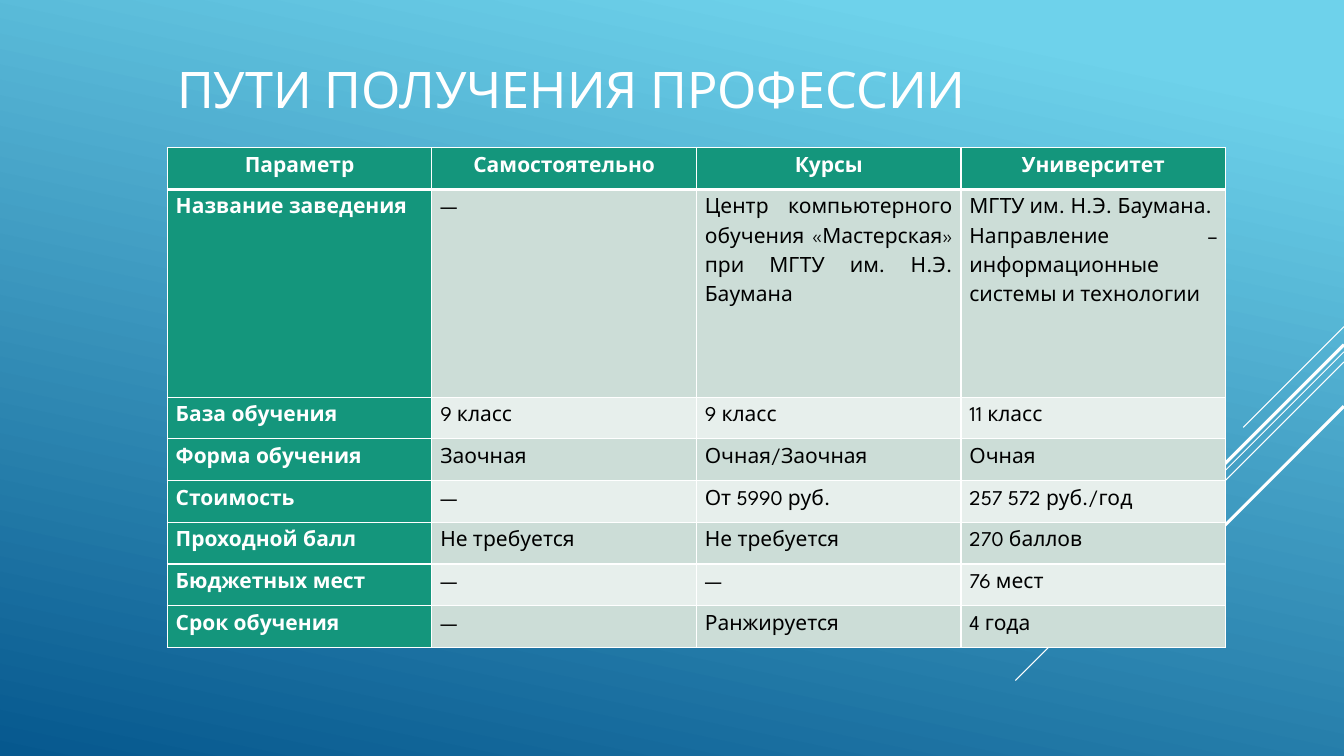
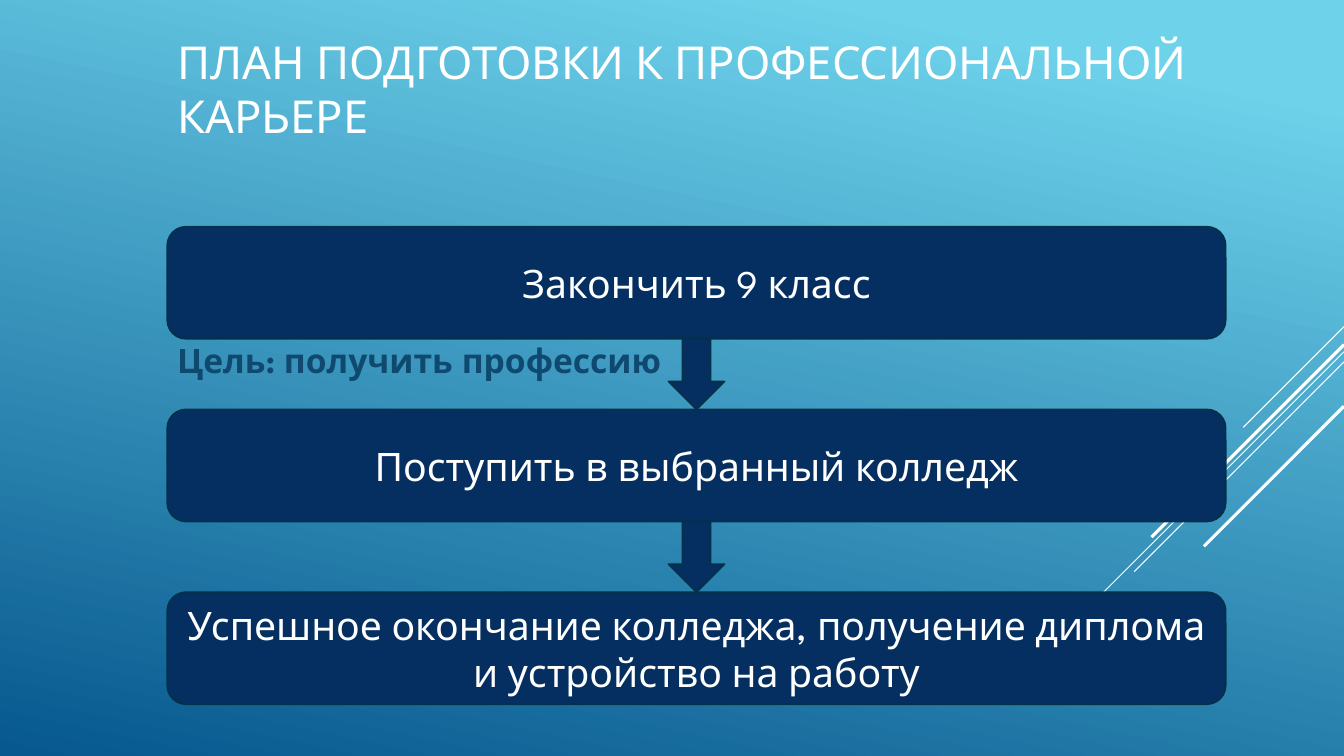
from lxml.etree import SubElement
from pptx import Presentation
from pptx.dml.color import RGBColor
from pptx.enum.shapes import MSO_CONNECTOR, MSO_SHAPE
from pptx.enum.text import MSO_ANCHOR, PP_ALIGN
from pptx.oxml.ns import qn
from pptx.util import Pt

WHITE, BLACK = "FFFFFF", "000000"
SKY, DEEP_BLUE = "6ED2EB", "06588E"
NAVY, NAVY_EDGE, GOAL_BLUE = "052F61", "043148", "0F496F"
GREEN, BAND_DARK, BAND_LIGHT = "14967C", "CCDDD7", "E7EFEC"
FONT = "League Spartan"
SLIDE_WIDTH, SLIDE_HEIGHT = 960, 540
LEFT, WIDTH = 119.5, 756
DIAGONALS = [
    (233.3, 72, 0.75),
    (251.3, 234.7, 0.75),
    (258.5, 149.8, 0.75),
    (246.2, 137.5, 2.25),
    (290.2, 100, 2.25),
]
PATHS = [
    ["Параметр", "Самостоятельно", "Курсы", "Университет"],
    [
        "Название заведения",
        "—",
        "Центр компьютерного обучения «Мастерская» при МГТУ им. Н.Э. Баумана",
        "МГТУ им. Н.Э. Баумана.\nНаправление – информационные системы и технологии",
    ],
    ["База обучения", "9 класс", "9 класс", "11 класс"],
    ["Форма обучения", "Заочная", "Очная/Заочная", "Очная"],
    ["Стоимость", "—", "От 5990 руб.", "257 572 руб./год"],
    ["Проходной балл", "Не требуется", "Не требуется", "270 баллов"],
    ["Бюджетных мест", "—", "—", "76 мест"],
    ["Срок обучения", "—", "Ранжируется", "4 года"],
]
STEPS = [
    "Закончить 9 класс",
    "Поступить в выбранный колледж",
    "Успешное окончание колледжа, получение диплома и устройство на работу",
]


def color(value):
    return RGBColor.from_string(value)


class Deck:
    """Holds the shared style and the current slide."""

    def __init__(self):
        self.presentation = Presentation()
        self.presentation.slide_width = Pt(SLIDE_WIDTH)
        self.presentation.slide_height = Pt(SLIDE_HEIGHT)
        fill = self.presentation.slide_master.background.fill
        fill.gradient()
        fill.gradient_angle = 258
        for stop, position, value in zip(fill.gradient_stops, (0.1, 1), (SKY, DEEP_BLUE)):
            stop.position = position
            stop.color.rgb = color(value)

    def add_slide(self, title, size):
        self.slide = self.presentation.slides.add_slide(self.presentation.slide_layouts[6])
        for top, reach, weight in DIAGONALS:
            self.line(SLIDE_WIDTH, top, SLIDE_WIDTH - reach, top + reach, weight)
        self.label(title, 37.5, 51, size)

    def line(self, start_x, start_y, end_x, end_y, weight):
        connector = self.slide.shapes.add_connector(
            MSO_CONNECTOR.STRAIGHT, Pt(start_x), Pt(start_y), Pt(end_x), Pt(end_y)
        )
        connector.line.color.rgb = color(WHITE)
        connector.line.width = Pt(weight)
        SubElement(connector._element.spPr, qn("a:effectLst"))

    def set_text(self, frame, text, size, value=WHITE, bold=False, **paragraph_format):
        frame.word_wrap = True
        frame.text = text
        for paragraph in frame.paragraphs:
            for name, setting in paragraph_format.items():
                setattr(paragraph, name, setting)
            for run in paragraph.runs:
                font_format = {"name": FONT, "size": Pt(size), "bold": bold}
                for name, setting in font_format.items():
                    setattr(run.font, name, setting)
                run.font.color.rgb = color(value)

    def label(self, text, top, height, size, value=WHITE, bold=False):
        box = self.slide.shapes.add_textbox(Pt(LEFT), Pt(top), Pt(WIDTH), Pt(height))
        box.text_frame.vertical_anchor = MSO_ANCHOR.MIDDLE
        self.set_text(box.text_frame, text, size, value, bold)

    def shape(self, kind, left, top, width, height, text=""):
        shape = self.slide.shapes.add_shape(kind, Pt(left), Pt(top), Pt(width), Pt(height))
        shape.shadow.inherit = False
        shape.fill.solid()
        shape.fill.fore_color.rgb = color(NAVY)
        shape.line.color.rgb = color(NAVY_EDGE)
        shape.line.width = Pt(1.25)
        if text:
            shape.text_frame.vertical_anchor = MSO_ANCHOR.MIDDLE
            self.set_text(shape.text_frame, text, 28, alignment=PP_ALIGN.CENTER)

    def border(self, cell, bottom_weight):
        properties = cell._tc.get_or_add_tcPr()
        for side, weight in (("L", 1), ("R", 1), ("T", 1), ("B", bottom_weight)):
            edge = SubElement(properties, qn(f"a:ln{side}"), w=str(Pt(weight)))
            fill = SubElement(edge, qn("a:solidFill"))
            SubElement(fill, qn("a:srgbClr"), val=WHITE)

    def table(self, rows, top, heights):
        columns = len(rows[0])
        frame = self.slide.shapes.add_table(
            len(rows), columns, Pt(LEFT), Pt(top), Pt(WIDTH), Pt(sum(heights))
        )
        for row_index, (texts, height) in enumerate(zip(rows, heights)):
            frame.table.rows[row_index].height = Pt(height)
            band = BAND_DARK if row_index % 2 else BAND_LIGHT
            for column_index, text in enumerate(texts):
                cell = frame.table.cell(row_index, column_index)
                is_top = row_index == 0
                is_heading = is_top or column_index == 0
                margins = {
                    "margin_left": Pt(6),
                    "margin_right": Pt(6),
                    "margin_top": 0,
                    "margin_bottom": 0,
                }
                for name, setting in margins.items():
                    setattr(cell, name, setting)
                self.border(cell, 3 if is_top else 1)
                cell.fill.solid()
                cell.fill.fore_color.rgb = color(GREEN if is_heading else band)
                self.set_text(
                    cell.text_frame,
                    text,
                    15,
                    WHITE if is_heading else BLACK,
                    is_heading,
                    alignment=PP_ALIGN.CENTER if is_top else PP_ALIGN.JUSTIFY,
                    line_spacing=1.5,
                )

    def flow(self, steps, top, height, gap):
        arrow_width = 40
        arrow_left = LEFT + (WIDTH - arrow_width) / 2
        for index, text in enumerate(steps):
            step_top = top + index * (height + gap)
            self.shape(MSO_SHAPE.ROUNDED_RECTANGLE, LEFT, step_top, WIDTH, height, text)
            if index:
                self.shape(MSO_SHAPE.DOWN_ARROW, arrow_left, step_top - gap, arrow_width, gap)


def main():
    deck = Deck()
    deck.add_slide("ПУТИ ПОЛУЧЕНИЯ ПРОФЕССИИ", 36)
    deck.table(PATHS, 105.5, [29.8, 148.4] + [29.8] * 6)
    deck.add_slide("ПЛАН ПОДГОТОВКИ К ПРОФЕССИОНАЛЬНОЙ КАРЬЕРЕ", 32.4)
    deck.label("Цель: получить профессию", 237, 40, 24, GOAL_BLUE, True)
    deck.flow(STEPS, 162, 80, 50.5)
    deck.presentation.save("out.pptx")


if __name__ == "__main__":
    main()
